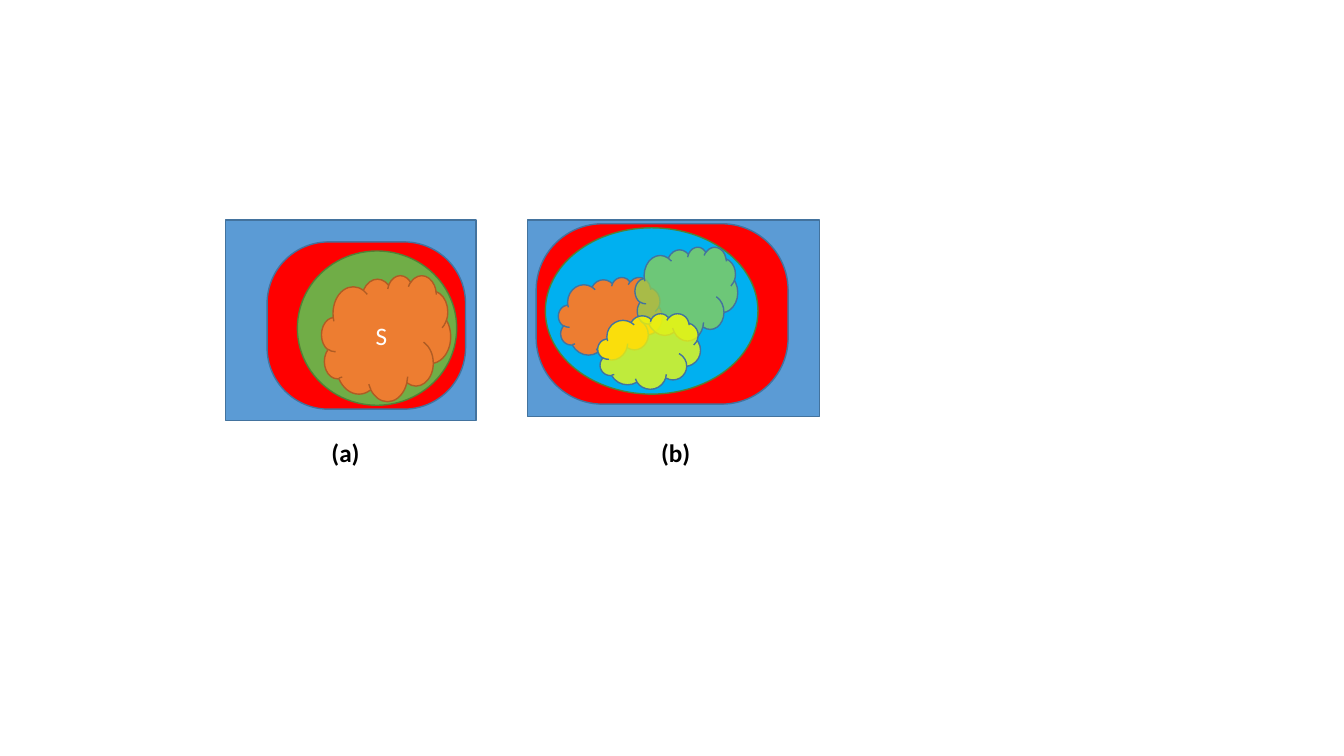
from dataclasses import dataclass
from typing import Optional

from lxml import etree
from pptx import Presentation
from pptx import util as u
from pptx.dml.color import RGBColor
from pptx.enum import shapes, text
from pptx.oxml.ns import qn

KIND = shapes.MSO_SHAPE


@dataclass(frozen=True)
class Theme:
    font: str = "Calibri"
    text_size: float = 18
    line_width: float = 1
    corner: float = 0.368
    blue: str = "5B9BD5"
    sky: str = "00B0F0"
    red: str = "FF0000"
    green: str = "70AD47"
    lime: str = "92D050"
    yellow: str = "FFFF00"
    orange: str = "ED7D31"
    blue_edge: str = "43739E"
    green_edge: str = "538035"
    orange_edge: str = "AF5C24"
    white: str = "FFFFFF"
    black: str = "000000"


THEME = Theme()


@dataclass(frozen=True)
class Region:
    kind: KIND
    left: float
    top: float
    width: float
    height: float
    fill: str
    edge: str = THEME.blue_edge
    opacity: int = 100
    label: Optional[str] = None


@dataclass(frozen=True)
class Caption:
    label: str
    left: float
    width: float
    top: float = 308.9
    height: float = 28.8


REGIONS = [
    # Panel (b): universe, outer set and inner set
    Region(KIND.RECTANGLE, 376.6, 157, 208.8, 140.4, THEME.blue),
    Region(KIND.ROUNDED_RECTANGLE, 383, 159.8, 180, 128.9, THEME.red),
    Region(KIND.OVAL, 389.5, 162.7, 151.9, 118.8, THEME.sky, THEME.green_edge),
    # Panel (a): the same nesting around one cloud
    Region(KIND.RECTANGLE, 161.3, 157, 178.6, 143.3, THEME.blue),
    Region(KIND.ROUNDED_RECTANGLE, 190.8, 172.8, 141.8, 119.5, THEME.red),
    Region(KIND.OVAL, 212.4, 179.3, 113.8, 110.2, THEME.green, THEME.green_edge),
    Region(KIND.CLOUD, 229.7, 196.6, 92.2, 90, THEME.orange, THEME.orange_edge, label="S"),
    # Panel (b): overlapping clouds
    Region(KIND.CLOUD, 398.9, 198, 74.2, 59, THEME.orange),
    Region(KIND.CLOUD, 453.6, 176.4, 73.4, 67, THEME.lime, opacity=75),
    Region(KIND.CLOUD, 427, 223.9, 73.4, 54, THEME.yellow, opacity=75),
]

CAPTIONS = [Caption("(a)", 229.7, 34.6), Caption("(b)", 465.1, 35.3)]


def add_run(paragraph, label: str, color: str, bold: bool = False) -> None:
    run = paragraph.add_run()
    run.text = label
    run.font.name = THEME.font
    run.font.size = u.Pt(THEME.text_size)
    run.font.bold = bold
    run.font.color.rgb = RGBColor.from_string(color)


def set_opacity(shape, percent: int) -> None:
    color = shape.fill._xPr.find(qn("a:solidFill"))[0]
    etree.SubElement(color, qn("a:alpha")).set("val", str(percent * 1000))


def draw_region(slide, region: Region) -> None:
    shape = slide.shapes.add_shape(
        region.kind, u.Pt(region.left), u.Pt(region.top), u.Pt(region.width), u.Pt(region.height)
    )
    shape.shadow.inherit = False
    shape.fill.solid()
    shape.fill.fore_color.rgb = RGBColor.from_string(region.fill)
    shape.line.color.rgb = RGBColor.from_string(region.edge)
    shape.line.width = u.Pt(THEME.line_width)
    if region.kind == KIND.ROUNDED_RECTANGLE:
        shape.adjustments[0] = THEME.corner
    if region.opacity < 100:
        set_opacity(shape, region.opacity)
    if region.label:
        shape.text_frame.vertical_anchor = text.MSO_ANCHOR.MIDDLE
        paragraph = shape.text_frame.paragraphs[0]
        paragraph.alignment = text.PP_ALIGN.CENTER
        add_run(paragraph, region.label, THEME.white)


def draw_caption(slide, caption: Caption) -> None:
    box = slide.shapes.add_textbox(
        u.Pt(caption.left), u.Pt(caption.top), u.Pt(caption.width), u.Pt(caption.height)
    )
    box.text_frame.word_wrap = False
    box.text_frame.auto_size = text.MSO_AUTO_SIZE.SHAPE_TO_FIT_TEXT
    add_run(box.text_frame.paragraphs[0], caption.label, THEME.black, bold=True)


def main() -> None:
    presentation = Presentation()
    presentation.slide_width = u.Pt(960)
    presentation.slide_height = u.Pt(540)
    slide = presentation.slides.add_slide(presentation.slide_layouts[6])
    for region in REGIONS:
        draw_region(slide, region)
    for caption in CAPTIONS:
        draw_caption(slide, caption)
    presentation.save("out.pptx")


if __name__ == "__main__":
    main()
